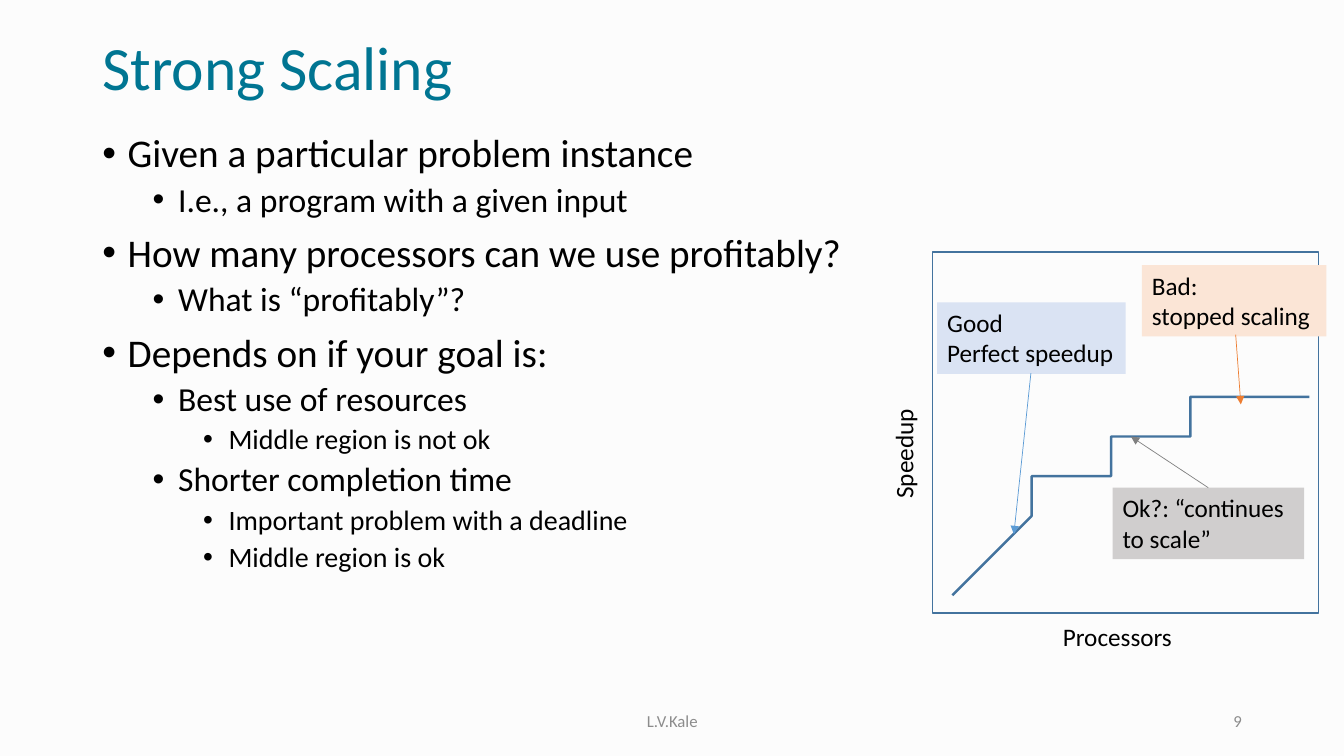
from lxml import etree
from pptx import Presentation
from pptx.dml.color import RGBColor
from pptx.enum import shapes, text
from pptx.oxml import ns
from pptx.util import Cm, Pt

TEAL = RGBColor(0x00, 0x75, 0x92)
BLACK = RGBColor(0, 0, 0)
GRAY = RGBColor(0x8C, 0x8C, 0x8C)
PAPER = RGBColor(0xFC, 0xFC, 0xFC)
NAVY = RGBColor(0x43, 0x73, 0x9E)
SKY = RGBColor(0x5B, 0x9B, 0xD5)
ORANGE = RGBColor(0xED, 0x7D, 0x31)
STEEL = RGBColor(0x80, 0x80, 0x80)
ICE = RGBColor(0xDA, 0xE3, 0xF3)
PEACH = RGBColor(0xFB, 0xE5, 0xD6)
SILVER = RGBColor(0xD0, 0xCE, 0xCE)

LEFT, MID, RIGHT = text.PP_ALIGN.LEFT, text.PP_ALIGN.CENTER, text.PP_ALIGN.RIGHT
TOP, CENTER, BOTTOM = (text.MSO_ANCHOR.TOP, text.MSO_ANCHOR.MIDDLE,
                       text.MSO_ANCHOR.BOTTOM)
SIZES = (28, 24, 20)

POINTS = [
    (0, "Given a particular problem instance"),
    (1, "I.e., a program with a given input"),
    (0, "How many processors can we use profitably?"),
    (1, "What is “profitably”?"),
    (0, "Depends on if your goal is:"),
    (1, "Best use of resources"),
    (2, "Middle region is not ok"),
    (1, "Shorter completion time"),
    (2, "Important problem with a deadline"),
    (2, "Middle region is ok"),
]
START = (24.05, 15.01)
BENDS = [
    ((24.59, 14.48), (25.1, 13.94), (25.55, 13.46)),
    ((26.01, 12.98), (26.39, 12.5), (26.8, 12.12)),
    ((27.18, 11.76), (27.51, 11.53), (27.94, 11.28)),
    ((28.37, 11.02), (28.88, 10.74), (29.36, 10.59)),
    ((29.85, 10.41), (30.35, 10.31), (30.84, 10.24)),
    ((31.32, 10.19), (31.93, 10.21), (32.26, 10.21)),
    ((32.56, 10.19), (32.66, 10.19), (32.74, 10.21)),
]
NOTES = [
    ("Good\nPerfect speedup", (23.62, 7.62, 4.75, 1.8), ICE, False,
     SKY, (25.98, 9.4), (25.55, 13.46)),
    ("Bad:\nstopped scaling", (28.78, 6.68, 4.65, 1.8), PEACH, True,
     ORANGE, (31.14, 8.43), (31.27, 10.19)),
    ("Ok?: “continues to scale”", (28.04, 12.29, 4.83, 1.8), SILVER, True,
     STEEL, (30.45, 12.29), (28.5, 11)),
]


def write(frame, words, size=18, color=BLACK, font="Calibri", align=LEFT,
          anchor=TOP, wrap=True, space=1.0):
    """Fill a frame with one paragraph per line of words."""
    frame.word_wrap, frame.vertical_anchor = wrap, anchor
    for i, line in enumerate(words.split("\n")):
        par = frame.add_paragraph() if i else frame.paragraphs[0]
        par.alignment, par.line_spacing = align, space
        run = par.add_run()
        run.text = line
        run.font.name, run.font.size = font, Pt(size)
        run.font.color.rgb = color


def trace(start, bends, steps=12):
    """Return points along a chain of cubic curves."""
    dots = [start]
    for one, two, end in bends:
        first = dots[-1]
        for k in range(1, steps + 1):
            t = k / steps
            s = 1 - t
            dots.append(tuple(
                s ** 3 * a + 3 * s * s * t * b + 3 * s * t * t * c + t ** 3 * d
                for a, b, c, d in zip(first, one, two, end)))
    return dots


class Deck:
    """Hold the style and the current slide."""

    def __init__(self):
        """Open a wide deck with one blank slide."""
        self.file = Presentation()
        self.file.slide_width, self.file.slide_height = Cm(33.87), Cm(19.05)
        self.slide = self.file.slides.add_slide(self.file.slide_layouts[6])
        back = self.slide.background.fill
        back.solid()
        back.fore_color.rgb = PAPER
        self.items = self.slide.shapes

    def label(self, words, box, turn=None, **style):
        """Add a text box, turned when a text direction is given."""
        frame = self.items.add_textbox(*map(Cm, box)).text_frame
        write(frame, words, **style)
        if turn:
            frame._txBody.bodyPr.set("vert", turn)
        return frame

    def list(self, points, box):
        """Add a bulleted list of levels and words."""
        lines = "\n".join(words for _, words in points)
        frame = self.label(lines, box, space=0.9)
        for par, (level, _) in zip(frame.paragraphs, points):
            par.level = level
            par.space_before = Pt(5 if level else 10)
            par.runs[0].font.size = Pt(SIZES[level])
            props = par._p.get_or_add_pPr()
            props.set("marL", str(Cm(0.64 + 1.27 * level)))
            props.set("indent", str(-Cm(0.64)))
            etree.SubElement(props, ns.qn("a:buFont"), typeface="Arial")
            etree.SubElement(props, ns.qn("a:buChar"), char="•")

    def rect(self, box, fill=None, line=None, width=1.25):
        """Add a plain rectangle."""
        shape = self.items.add_shape(shapes.MSO_SHAPE.RECTANGLE, *map(Cm, box))
        self.paint(shape, fill, line, width)
        return shape

    def curve(self, dots, line, width):
        """Add an open line through the dots."""
        pen = self.items.build_freeform(*dots[0], scale=Cm(1))
        pen.add_line_segments(dots[1:], close=False)
        self.paint(pen.convert_to_shape(), None, line, width)

    def paint(self, shape, fill, line, width):
        """Set fill and line, and drop the shadow."""
        shape.shadow.inherit = False
        for part, color in ((shape.fill, fill), (shape.line.fill, line)):
            if color is None:
                part.background()
            else:
                part.solid()
                part.fore_color.rgb = color
        if line is not None:
            shape.line.width = Pt(width)

    def arrow(self, start, end, color):
        """Add a thin arrow."""
        link = self.items.add_connector(
            shapes.MSO_CONNECTOR.STRAIGHT, *map(Cm, start + end))
        link.line.color.rgb, link.line.width = color, Pt(0.5)
        etree.SubElement(link.line._get_or_add_ln(), ns.qn("a:tailEnd"),
                         type="triangle")
        etree.SubElement(link._element.spPr, ns.qn("a:effectLst"))


deck = Deck()
deck.label("Strong Scaling", (2.33, 0.71, 29.21, 2.13), size=44, color=TEAL,
           anchor=CENTER, space=0.9)
deck.list(POINTS, (2.33, 3.25, 19.69, 13.92))
foot = dict(size=12, color=GRAY, anchor=CENTER)
deck.label("L.V.Kale", (11.23, 17.65, 11.43, 1.02), align=MID, **foot)
deck.label("9", (23.93, 17.65, 7.62, 1.02), align=RIGHT, **foot)

deck.rect((23.5, 6.35, 9.73, 9.09), line=NAVY)
deck.label("Processors", (24.77, 15.52, 6.78, 1.02), align=MID)
deck.label("Speedup", (22, 9.09, 1.27, 4.7), turn="vert270", align=MID,
           anchor=BOTTOM)
deck.curve(trace(START, BENDS), NAVY, 1.75)
for words, box, fill, wrap, color, start, end in NOTES:
    write(deck.rect(box, fill).text_frame, words, wrap=wrap)
    deck.arrow(start, end, color)

deck.file.save("out.pptx")
